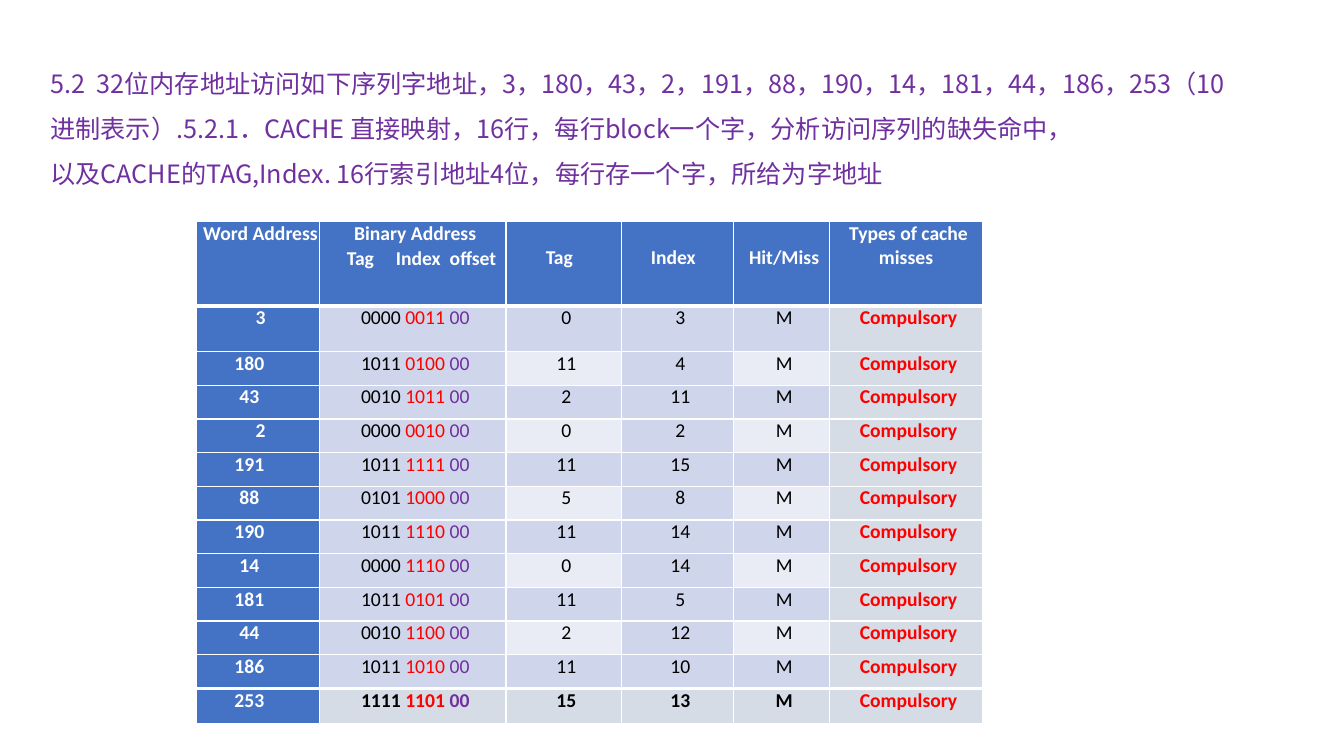
from dataclasses import dataclass

from lxml.etree import SubElement
from pptx import Presentation
from pptx.dml.color import RGBColor
from pptx.enum.text import MSO_ANCHOR, PP_ALIGN
from pptx.oxml import parse_xml
from pptx.oxml.ns import nsdecls, qn
from pptx.util import Pt


@dataclass(frozen=True)
class Theme:
    purple: str = "7030A0"
    red: str = "FF0000"
    black: str = "000000"
    white: str = "FFFFFF"
    blue: str = "4472C4"
    band_dark: str = "CFD5EA"
    band_light: str = "E9EBF5"
    gray: str = "D6DCE5"
    title_font: str = "Noto Sans CJK SC"
    table_font: str = "Calibri"
    title_size: float = 18
    table_size: float = 14
    thin: float = 1
    thick: float = 3


T = Theme()

QUESTION = (
    "5.2  32位内存地址访问如下序列字地址，3，180，43，2，191，88，190，14，181，44，"
    "186，253（10进制表示）.5.2.1．CACHE 直接映射，16行，每行block一个字，"
    "分析访问序列的缺失命中，\v"
    "以及CACHE的TAG,Index. 16行索引地址4位，每行存一个字，所给为字地址"
)
ADDRESSES = [3, 180, 43, 2, 191, 88, 190, 14, 181, 44, 186, 253]
HEADERS = ["Word Address", "Binary Address", "Tag", "Index", "Hit/Miss",
           "Types of cache misses"]
ADDRESS_FIELDS = "\tTag\tIndex\toffset"
FIELD_TABS = (19.5, 54.5, 93)
COLUMN_WIDTHS = [87.84, 133.2, 82.8, 79.92, 68.4, 109.44]
ROW_HEIGHTS = [60.3, 32.4] + [24.08] * 10 + [25.2]
LINE_HEIGHT = 17.2
FIRST_INDENT = 3.6
ADDRESS_INSET = 16
HEADER_INSET = 10


def style_run(r, font, size, color, bold=False):
    r.font.name = font
    r.font.size = Pt(size)
    r.font.bold = bold
    r.font.color.rgb = RGBColor.from_string(color)


def add_question(s, left, top, width, height):
    tf = s.shapes.add_textbox(Pt(left), Pt(top), Pt(width), Pt(height)).text_frame
    tf.word_wrap = True
    tf.vertical_anchor = MSO_ANCHOR.MIDDLE
    tf.text = QUESTION
    p = tf.paragraphs[0]
    p.line_spacing = Pt(32.4)
    for r in p.runs:
        style_run(r, T.title_font, T.title_size, T.purple)
        SubElement(r.font._element, qn("a:ea")).set("typeface", T.title_font)


def set_borders(cell, top, bottom):
    tc_pr = cell._tc.get_or_add_tcPr()
    widths = {"lnL": T.thin, "lnR": T.thin, "lnT": top, "lnB": bottom}
    for i, (side, width) in enumerate(widths.items()):
        tc_pr.insert(i, parse_xml(
            f'<a:{side} {nsdecls("a")} w="{Pt(width)}"><a:solidFill>'
            f'<a:srgbClr val="{T.white}"/></a:solidFill></a:{side}>'))


def fill_cell(cell, parts, fill, bold=False, inset=0):
    """Write (text, colour) parts as the runs of one centred paragraph."""
    cell.margin_left = cell.margin_right = cell.margin_top = cell.margin_bottom = 0
    cell.fill.solid()
    cell.fill.fore_color.rgb = RGBColor.from_string(fill)
    p = cell.text_frame.paragraphs[0]
    p.alignment = PP_ALIGN.CENTER
    p_pr = p._p.get_or_add_pPr()
    p_pr.set("indent", str(Pt(FIRST_INDENT)))
    p_pr.set("marR", str(Pt(inset)))
    for text, color in parts:
        r = p.add_run()
        r.text = text
        style_run(r, T.table_font, T.table_size, color, bold)


def add_address_fields(cell):
    p = cell.text_frame.add_paragraph()
    p.text = ADDRESS_FIELDS
    p.alignment = PP_ALIGN.LEFT
    p.space_before = Pt(0.8)
    tabs = SubElement(p._p.get_or_add_pPr(), qn("a:tabLst"))
    for position in FIELD_TABS:
        tab = SubElement(tabs, qn("a:tab"))
        tab.set("pos", str(Pt(position)))
        tab.set("algn", "l")
    style_run(p.runs[0], T.table_font, T.table_size, T.white, True)


def fill_header(cells):
    for cell, text in zip(cells, HEADERS):
        inset = HEADER_INSET if text in ("Tag", "Index") else 0
        fill_cell(cell, [(text, T.white)], T.blue, True, inset)
        if text in ("Tag", "Index", "Hit/Miss"):
            cell.margin_top = Pt(LINE_HEIGHT)
        set_borders(cell, T.thin, T.thick)
    add_address_fields(cells[1])


def fill_access(cells, address, number, last):
    """Fill one row: the low four bits are the index, the rest the tag."""
    tag, index = divmod(address, 16)
    binary = [(f"{tag:04b} ", T.black), (f"{index:04b} ", T.red), ("00", T.purple)]
    dark = T.gray if last else T.band_dark
    band = T.band_light if number % 2 and not last else dark
    inset = ADDRESS_INSET if address > 9 else 0
    fill_cell(cells[0], [(str(address), T.white)], T.blue, True, inset)
    fill_cell(cells[1], binary, dark, last)
    fill_cell(cells[2], [(str(tag), T.black)], band, last)
    fill_cell(cells[3], [(str(index), T.black)], dark, last)
    fill_cell(cells[4], [("M", T.black)], band, last)
    fill_cell(cells[5], [("Compulsory", T.red)], T.gray, True)
    top = T.thick if number == 0 or last else T.thin
    bottom = T.thick if number == len(ADDRESSES) - 2 else T.thin
    for cell in cells:
        set_borders(cell, top, bottom)


def add_cache_table(s, left, top, width, height):
    table = s.shapes.add_table(len(ROW_HEIGHTS), len(HEADERS), Pt(left), Pt(top),
                               Pt(width), Pt(height)).table
    table.first_row = table.horz_banding = False
    for column, w in zip(table.columns, COLUMN_WIDTHS):
        column.width = Pt(w)
    for row, h in zip(table.rows, ROW_HEIGHTS):
        row.height = Pt(h)
    header, *accesses = [list(row.cells) for row in table.rows]
    fill_header(header)
    for number, (cells, address) in enumerate(zip(accesses, ADDRESSES)):
        fill_access(cells, address, number, number == len(ADDRESSES) - 1)


def main():
    prs = Presentation()
    prs.slide_width, prs.slide_height = Pt(960), Pt(540)
    s = prs.slides.add_slide(prs.slide_layouts[6])
    add_question(s, 28.8, 23, 855.4, 126.7)
    add_cache_table(s, 140.4, 158.4, sum(COLUMN_WIDTHS), sum(ROW_HEIGHTS))
    prs.save("out.pptx")


if __name__ == "__main__":
    main()
